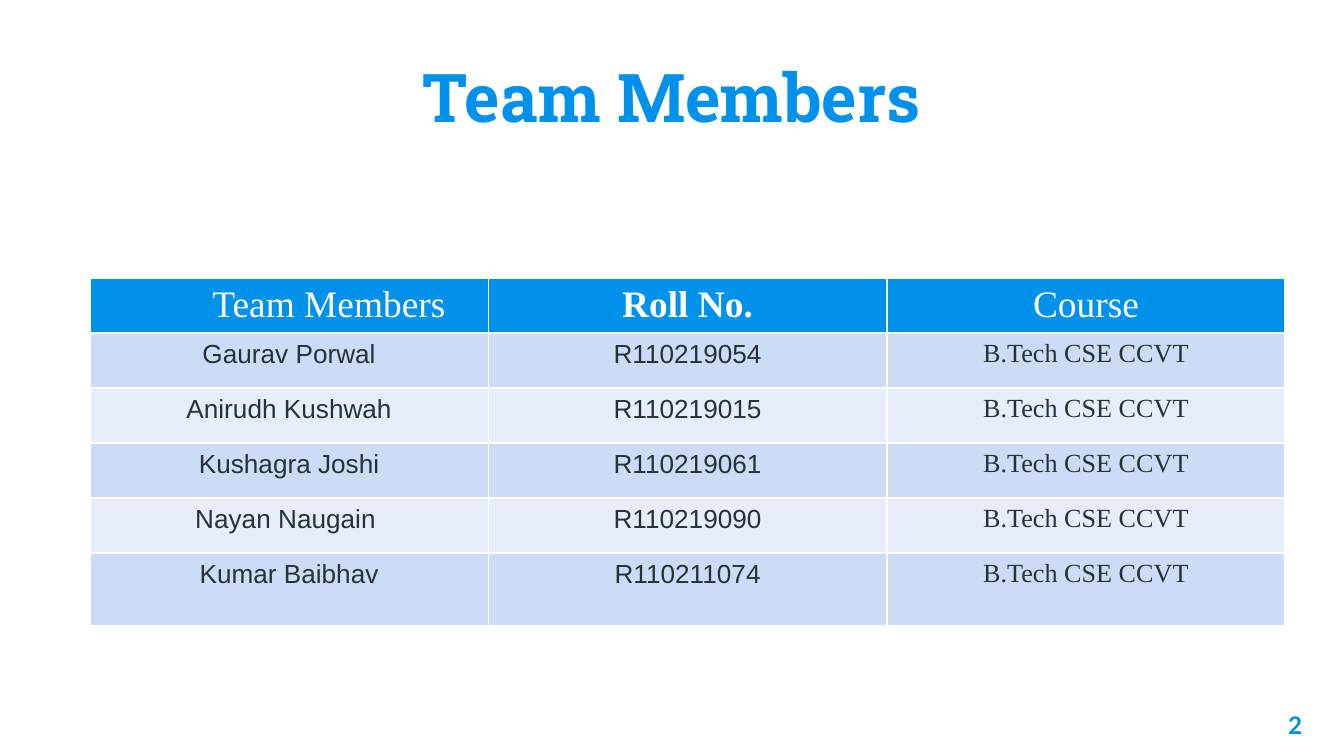
from lxml.etree import SubElement
from pptx import Presentation
from pptx.dml.color import RGBColor
from pptx.enum.text import MSO_ANCHOR, MSO_AUTO_SIZE, PP_ALIGN
from pptx.oxml.ns import qn
from pptx.util import Cm, Pt

BLUE, WHITE, DARK = "0091EA", "FFFFFF", "263238"
BANDS = ("CCDCF7", "E7EEFB")
SERIF = "Times New Roman"
HEADERS = ("Team Members", "Roll No.", "Course")
COURSE = "B.Tech CSE CCVT"
MEMBERS = (
    ("Gaurav Porwal", "R110219054"),
    ("Anirudh Kushwah", "R110219015"),
    ("Kushagra Joshi", "R110219061"),
    ("Nayan Naugain ", "R110219090"),
    ("Kumar Baibhav", "R110211074"),
)


def rgb(value):
    """Return a colour from a hex string."""
    return RGBColor.from_string(value)


def write(tf, text, font="Arial", size=14, color=DARK, bold=False, align=PP_ALIGN.CENTER):
    """Put one formatted run of text in a text frame."""
    p = tf.paragraphs[0]
    p.alignment = align
    r = p.add_run()
    r.text = text
    r.font.name = font
    r.font.size = Pt(size)
    r.font.bold = bold
    r.font.color.rgb = rgb(color)


def set_insets(tf):
    """Give a text frame equal insets on all sides."""
    tf.margin_left = tf.margin_right = tf.margin_top = tf.margin_bottom = Cm(0.25)
    tf.word_wrap = True
    tf.auto_size = MSO_AUTO_SIZE.NONE


def add_title(s, text):
    """Place and fill the title placeholder."""
    sp = s.shapes.title
    sp.left, sp.top, sp.width, sp.height = Cm(2.18), Cm(0.86), Cm(21.03), Cm(1.96)
    tf = sp.text_frame
    set_insets(tf)
    tf.vertical_anchor = MSO_ANCHOR.BOTTOM
    write(tf, text, font="Roboto Slab", size=36, color=BLUE, bold=True)


def add_page_number(s, number):
    """Add the page number in the bottom right corner."""
    tf = s.shapes.add_textbox(Cm(23.34), Cm(13.18), Cm(1.52), Cm(1.09)).text_frame
    set_insets(tf)
    write(tf, number, font="Lato", size=13, color=BLUE, bold=True, align=PP_ALIGN.RIGHT)


def style_cell(cell, fill):
    """Give a table cell white borders and a solid fill."""
    tcPr = cell._tc.get_or_add_tcPr()
    for side in ("lnL", "lnR", "lnT", "lnB"):
        ln = SubElement(tcPr, qn(f"a:{side}"), w=str(Pt(1)))
        SubElement(SubElement(ln, qn("a:solidFill")), qn("a:srgbClr"), val=WHITE)
    cell.fill.solid()
    cell.fill.fore_color.rgb = rgb(fill)


def add_members_table(s):
    """Add the table of members with a header and banded rows."""
    rows = len(MEMBERS) + 1
    frame = s.shapes.add_table(rows, 3, Cm(1.7), Cm(5.25), Cm(22.59), Cm(6.54))
    table = frame.table
    for col in table.columns:
        col.width = Cm(7.53)
    for row in table.rows:
        row.height = Cm(1.04)
    table.rows[rows - 1].height = Cm(1.37)

    for c, text in enumerate(HEADERS):
        cell = table.cell(0, c)
        style_cell(cell, BLUE)
        write(cell.text_frame, text, font=SERIF, size=20, color=WHITE, bold=c == 1)
    table.cell(0, 0).margin_left = Cm(1.76)

    for r, member in enumerate(MEMBERS):
        for c, text in enumerate((*member, COURSE)):
            cell = table.cell(r + 1, c)
            style_cell(cell, BANDS[r % 2])
            write(cell.text_frame, text, font=SERIF if c == 2 else "Arial")


def main():
    """Build and save the slide."""
    prs = Presentation()
    prs.slide_width, prs.slide_height = Cm(25.4), Cm(14.29)
    s = prs.slides.add_slide(prs.slide_layouts[5])
    add_title(s, "Team Members")
    add_page_number(s, "2")
    add_members_table(s)
    prs.save("out.pptx")


if __name__ == "__main__":
    main()
